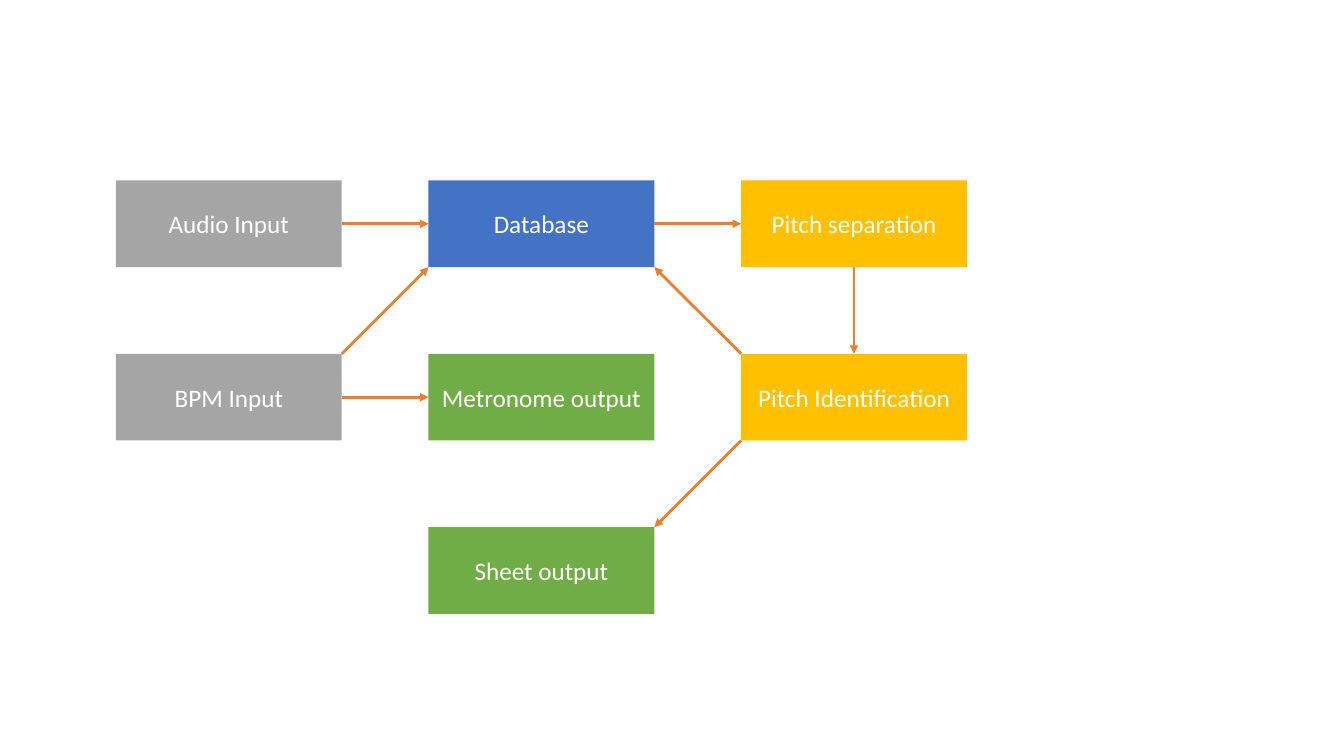
from lxml.etree import SubElement
from pptx import Presentation
from pptx.dml.color import RGBColor
from pptx.enum.shapes import MSO_CONNECTOR, MSO_SHAPE
from pptx.enum.text import MSO_ANCHOR, PP_ALIGN
from pptx.oxml.ns import qn
from pptx.util import Inches, Pt

COLORS = {
    "input": "A5A5A5",
    "data": "4472C4",
    "output": "70AD47",
    "pitch": "FFC000",
    "arrow": "ED7D31",
    "text": "FFFFFF",
}
BOX_W, BOX_H = 2.24, 0.86
COL_STEP, ROW_STEP = 3.1, 1.72

# label: (column, row, colour)
BOXES = {
    "Audio Input": (0, 0, "input"),
    "BPM Input": (0, 1, "input"),
    "Database": (1, 0, "data"),
    "Metronome output": (1, 1, "output"),
    "Pitch separation": (2, 0, "pitch"),
    "Pitch Identification": (2, 1, "pitch"),
    "Sheet output": (1, 2, "output"),
}
# anchor: (share of width, share of height, connection site)
ANCHORS = {
    "top": (0.5, 0, 0),
    "left": (0, 0.5, 1),
    "bottom": (0.5, 1, 2),
    "right": (1, 0.5, 3),
    "top left": (0, 0, None),
    "top right": (1, 0, None),
    "bottom left": (0, 1, None),
    "bottom right": (1, 1, None),
}
ARROWS = [
    ("Audio Input", "right", "Database", "left"),
    ("BPM Input", "right", "Metronome output", "left"),
    ("BPM Input", "top right", "Database", "bottom left"),
    ("Database", "right", "Pitch separation", "left"),
    ("Pitch separation", "bottom", "Pitch Identification", "top"),
    ("Pitch Identification", "top left", "Database", "bottom right"),
    ("Pitch Identification", "bottom left", "Sheet output", "top right"),
]


def rgb(name):
    return RGBColor.from_string(COLORS[name])


def set_text(sp, text, size=18, font="Calibri", color="text", align=PP_ALIGN.CENTER):
    tf = sp.text_frame
    tf.word_wrap = True
    tf.vertical_anchor = MSO_ANCHOR.MIDDLE
    p = tf.paragraphs[0]
    p.alignment = align
    r = p.add_run()
    r.text = text
    r.font.size = Pt(size)
    r.font.name = font
    r.font.color.rgb = rgb(color)


def add_box(s, text, x, y, color):
    sp = s.shapes.add_shape(
        MSO_SHAPE.RECTANGLE, Inches(x), Inches(y), Inches(BOX_W), Inches(BOX_H))
    sp.shadow.inherit = False
    sp.fill.solid()
    sp.fill.fore_color.rgb = rgb(color)
    sp.line.fill.background()
    set_text(sp, text)
    return sp


def anchor_point(sp, anchor):
    fx, fy, _ = ANCHORS[anchor]
    return int(sp.left + fx * sp.width), int(sp.top + fy * sp.height)


def add_arrow(s, source, source_anchor, target, target_anchor):
    arrow = s.shapes.add_connector(
        MSO_CONNECTOR.STRAIGHT,
        *anchor_point(source, source_anchor),
        *anchor_point(target, target_anchor))
    for connect, sp, anchor in (
            (arrow.begin_connect, source, source_anchor),
            (arrow.end_connect, target, target_anchor)):
        site = ANCHORS[anchor][2]
        if site is not None:
            connect(sp, site)
    arrow.line.color.rgb = rgb("arrow")
    arrow.line.width = Pt(2)
    SubElement(arrow.line._get_or_add_ln(), qn("a:tailEnd"), type="triangle")
    SubElement(arrow._element.spPr, qn("a:effectLst"))


def add_flowchart(s, left, top):
    """Place the grid of boxes from its top left corner, then join them."""
    boxes = {
        text: add_box(s, text, left + col * COL_STEP, top + row * ROW_STEP, color)
        for text, (col, row, color) in BOXES.items()
    }
    for source, source_anchor, target, target_anchor in ARROWS:
        add_arrow(s, boxes[source], source_anchor, boxes[target], target_anchor)


def main():
    prs = Presentation()
    prs.slide_width, prs.slide_height = Inches(13.33), Inches(7.5)
    s = prs.slides.add_slide(prs.slide_layouts[6])
    add_flowchart(s, 1.15, 1.79)
    prs.save("out.pptx")


if __name__ == "__main__":
    main()
